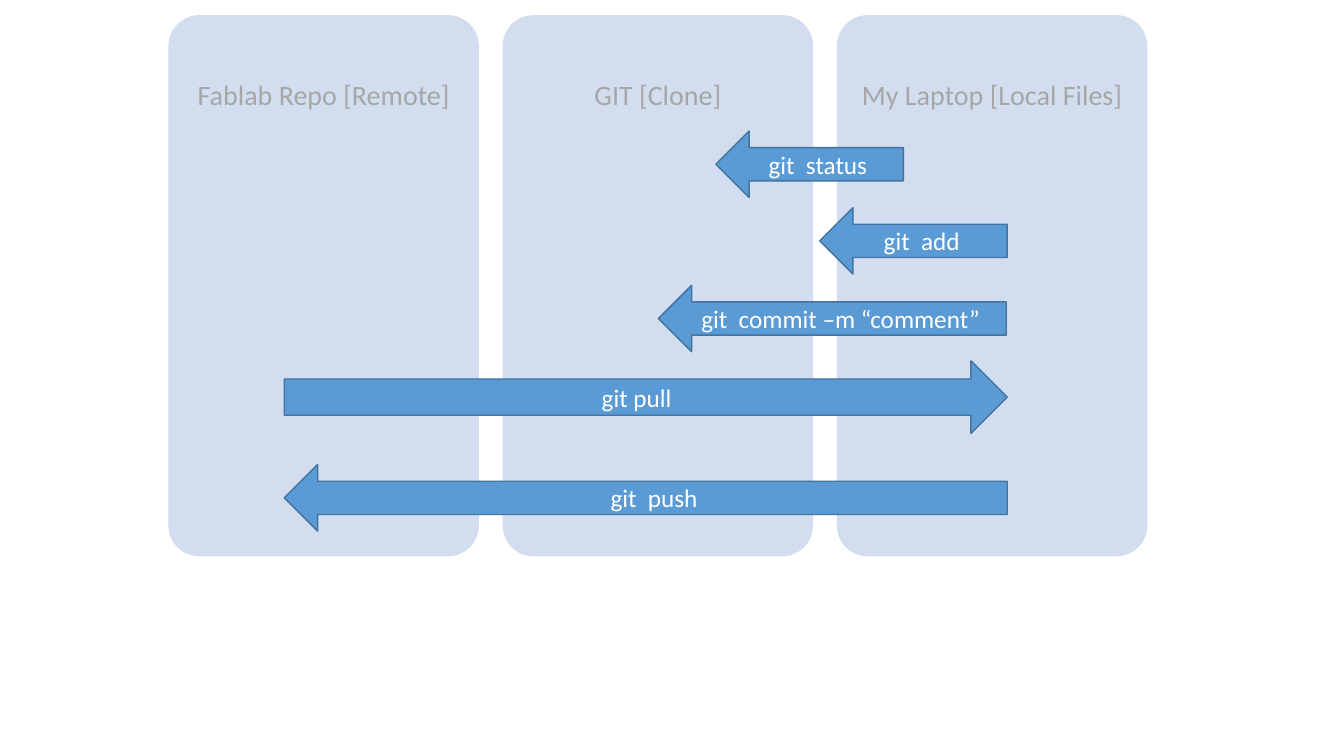
"""Build a slide showing which git commands move work between three places."""
from dataclasses import dataclass

from pptx import Presentation
from pptx.dml.color import RGBColor
from pptx.enum.shapes import MSO_SHAPE
from pptx.enum.text import MSO_ANCHOR, PP_ALIGN
from pptx.util import Inches, Pt

PANEL = MSO_SHAPE.ROUNDED_RECTANGLE
LEFT, RIGHT = MSO_SHAPE.LEFT_ARROW, MSO_SHAPE.RIGHT_ARROW
MIDDLE, CENTER = MSO_ANCHOR.MIDDLE, PP_ALIGN.CENTER


@dataclass(frozen=True)
class Theme:
    font: str = "Calibri"
    panel: str = "D2DEEF"
    heading: str = "A6A6A6"
    arrow: str = "5B9BD5"
    outline: str = "43739E"
    command: str = "FFFFFF"
    heading_size: int = 20
    command_size: int = 18


THEME = Theme()

PLACES = ["Fablab Repo [Remote]", "GIT [Clone]", "My Laptop [Local Files]"]
COMMANDS = [
    ("git  status", LEFT, 7.1, 1.3, 1.86, 0.66),
    ("git  add", LEFT, 8.13, 2.06, 1.86, 0.66),
    ("git  commit –m “comment”", LEFT, 6.53, 2.83, 3.45, 0.66),
    ("git pull", RIGHT, 2.82, 3.58, 7.17, 0.72),
    ("git  push", LEFT, 2.82, 4.61, 7.17, 0.66),
]

PLACES_LEFT, PLACES_TOP = 1.67, 0.15
PLACE_WIDTH, PLACE_HEIGHT, PLACE_STEP = 3.08, 5.37, 3.315
HEADING_HEIGHT, HEADING_INSET = 1.61, 0.08


def add_filled(slide, kind, box, color):
    shape = slide.shapes.add_shape(kind, *map(Inches, box))
    shape.shadow.inherit = False
    shape.fill.solid()
    shape.fill.fore_color.rgb = RGBColor.from_string(color)
    return shape


def write(frame, text, size, color):
    frame.word_wrap = True
    frame.vertical_anchor = MIDDLE
    paragraph = frame.paragraphs[0]
    paragraph.text = text
    paragraph.alignment = CENTER
    paragraph.font.name = THEME.font
    paragraph.font.size = Pt(size)
    paragraph.font.color.rgb = RGBColor.from_string(color)
    return paragraph


def add_place(slide, index, name):
    left = PLACES_LEFT + index * PLACE_STEP
    panel = add_filled(slide, PANEL, (left, PLACES_TOP, PLACE_WIDTH, PLACE_HEIGHT), THEME.panel)
    panel.adjustments[0] = 0.1
    panel.line.fill.background()

    box = (left, PLACES_TOP, PLACE_WIDTH, HEADING_HEIGHT)
    frame = slide.shapes.add_textbox(*map(Inches, box)).text_frame
    frame.margin_left = frame.margin_right = Inches(HEADING_INSET)
    frame.margin_top = frame.margin_bottom = Inches(HEADING_INSET)
    heading = write(frame, name, THEME.heading_size, THEME.heading)
    heading.line_spacing = 0.9
    heading.space_after = Pt(0.35 * THEME.heading_size)


def add_command(slide, command, direction, *box):
    arrow = add_filled(slide, direction, box, THEME.arrow)
    arrow.line.color.rgb = RGBColor.from_string(THEME.outline)
    arrow.line.width = Pt(1)
    write(arrow.text_frame, command, THEME.command_size, THEME.command)


deck = Presentation()
deck.slide_width, deck.slide_height = Inches(13.33), Inches(7.5)
git_slide = deck.slides.add_slide(deck.slide_layouts.get_by_name("Blank"))
for position, place in enumerate(PLACES):
    add_place(git_slide, position, place)
for entry in COMMANDS:
    add_command(git_slide, *entry)
deck.save("out.pptx")
